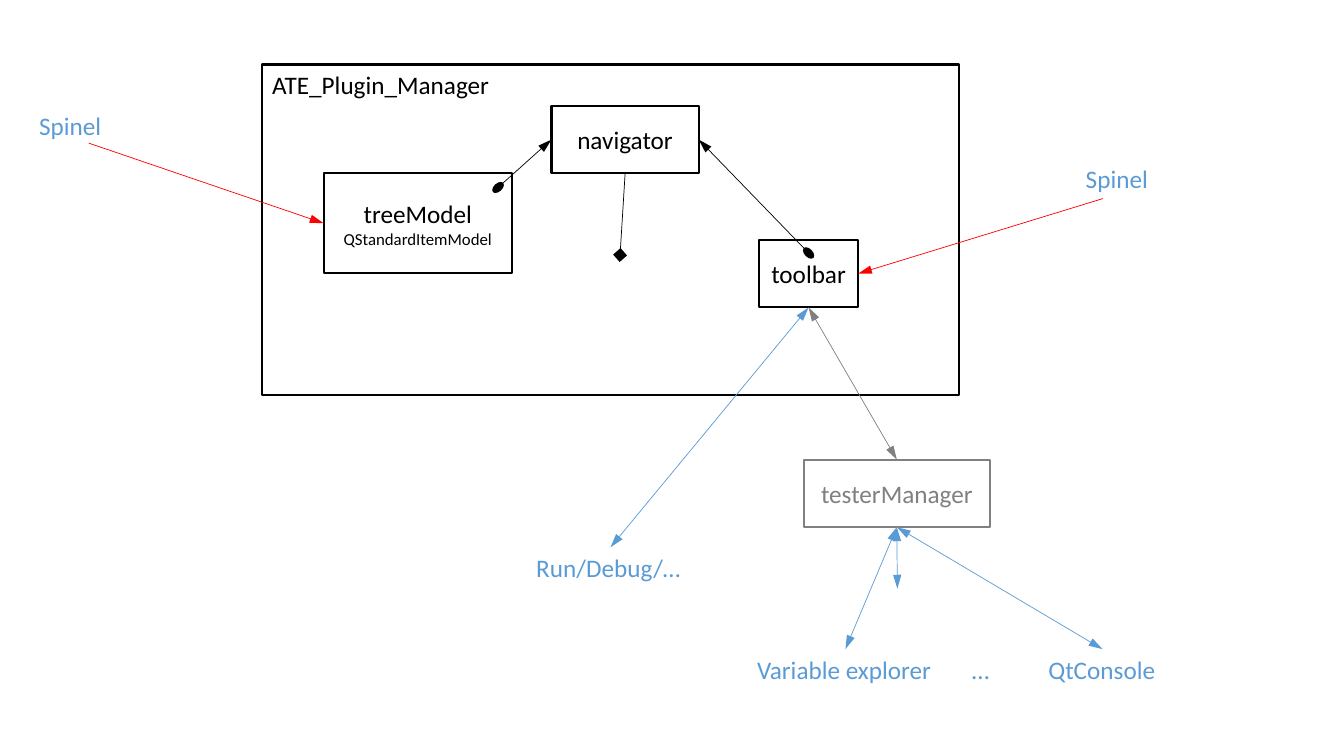
from dataclasses import dataclass

from pptx import Presentation
from pptx.dml.color import RGBColor
from pptx.enum.shapes import MSO_CONNECTOR, MSO_SHAPE
from pptx.enum.text import MSO_ANCHOR, MSO_AUTO_SIZE, PP_ALIGN
from pptx.oxml.ns import qn
from pptx.util import Inches, Pt
from lxml.etree import SubElement


@dataclass(frozen=True)
class Theme:
    font: str = "Calibri"
    black: RGBColor = RGBColor(0, 0, 0)
    gray: RGBColor = RGBColor(0x80, 0x80, 0x80)
    blue: RGBColor = RGBColor(0x5B, 0x9B, 0xD5)
    red: RGBColor = RGBColor(0xFF, 0, 0)
    body: Pt = Pt(18)
    small: Pt = Pt(12)
    border: Pt = Pt(1.5)
    thin: Pt = Pt(0.5)


theme = Theme()
TOP, LEFT, BOTTOM, RIGHT = range(4)

deck = Presentation()
deck.slide_width, deck.slide_height = Inches(13.33), Inches(7.5)
slide = deck.slides.add_slide(deck.slide_layouts[6])
shapes = slide.shapes


def write(shape, text, color=theme.black, align=PP_ALIGN.LEFT, sizes=(theme.body,)):
    """Fill the shape with one paragraph per line, each in its own size."""
    frame = shape.text_frame
    frame.text = text
    for para, size in zip(frame.paragraphs, sizes):
        para.alignment = align
        font = para.runs[0].font
        font.name, font.size = theme.font, size
        font.color.rgb = color


def link(start, end, color, head=None, tail=None):
    """Draw a line between two ends, each a point or a (shape, side) pair."""
    line = shapes.add_connector(MSO_CONNECTOR.STRAIGHT, 0, 0, 0, 0)
    if isinstance(start[0], float):
        line.begin_x, line.begin_y = map(Inches, start)
    else:
        line.begin_connect(*start)
    if isinstance(end[0], float):
        line.end_x, line.end_y = map(Inches, end)
    else:
        line.end_connect(*end)
    line.line.color.rgb = color
    line.line.width = theme.thin
    props = line.line._get_or_add_ln()
    for tag, kind in (("a:headEnd", head), ("a:tailEnd", tail)):
        if kind:
            width = "lg" if kind == "diamond" else "med"
            SubElement(props, qn(tag), type=kind, w=width, len="lg")
    SubElement(line._element.spPr, qn("a:effectLst"))


# Boxes
boxes = {}
for name, text, area, color in (
    ("manager", "", (2.6, 0.64, 6.91, 3.28), theme.black),
    ("toolbar", "toolbar", (7.53, 2.38, 0.98, 0.67), theme.black),
    ("navigator", "navigator", (5.47, 1.05, 1.46, 0.67), theme.black),
    ("model", "treeModel\nQStandardItemModel", (3.21, 1.72, 1.87, 0.99), theme.black),
    ("tester", "testerManager", (7.97, 4.56, 1.85, 0.67), theme.gray),
):
    box = shapes.add_shape(MSO_SHAPE.RECTANGLE, *map(Inches, area))
    box.shadow.inherit = False
    box.fill.background()
    box.line.color.rgb = color
    box.line.width = theme.border
    box.text_frame.vertical_anchor = MSO_ANCHOR.MIDDLE
    if text:
        write(box, text, color, PP_ALIGN.CENTER, (theme.body, theme.small))
    boxes[name] = box

# Labels
labels = {}
for name, text, left, top, width, color in (
    ("title", "ATE_Plugin_Manager", 2.6, 0.64, 2.87, theme.black),
    ("run", "Run/Debug/…", 5.22, 5.43, 1.67, theme.blue),
    ("console", "QtConsole", 10.3, 6.44, 1.27, theme.blue),
    ("explorer", "Variable explorer", 7.41, 6.44, 1.95, theme.blue),
    ("more", "…", 9.54, 6.44, 0.38, theme.blue),
    ("host left", "Spinel", 0.29, 1.05, 0.91, theme.blue),
    ("host right", "Spinel", 10.67, 1.57, 0.91, theme.blue),
):
    label = shapes.add_textbox(Inches(left), Inches(top), Inches(width), Inches(0.4))
    label.text_frame.word_wrap = name == "title"
    label.text_frame.auto_size = MSO_AUTO_SIZE.SHAPE_TO_FIT_TEXT
    write(label, text, color)
    labels[name] = label

# Links
toolbar, navigator, tester = boxes["toolbar"], boxes["navigator"], boxes["tester"]
link((0.88, 1.42), (boxes["model"], LEFT), theme.red, tail="triangle")
link((10.94, 1.97), (toolbar, RIGHT), theme.red, tail="triangle")
link((4.94, 1.86), (navigator, LEFT), theme.black, "oval", "triangle")
link((8.02, 2.51), (navigator, RIGHT), theme.black, "oval", "triangle")
link((6.15, 2.53), (navigator, BOTTOM), theme.black, "diamond")
link((toolbar, BOTTOM), (tester, TOP), theme.gray, "triangle", "triangle")
link((labels["run"], TOP), (toolbar, BOTTOM), theme.blue, "triangle", "triangle")
for start in ((8.9, 5.84), (labels["console"], TOP), (labels["explorer"], TOP)):
    link(start, (tester, BOTTOM), theme.blue, "triangle", "triangle")

deck.save("out.pptx")
